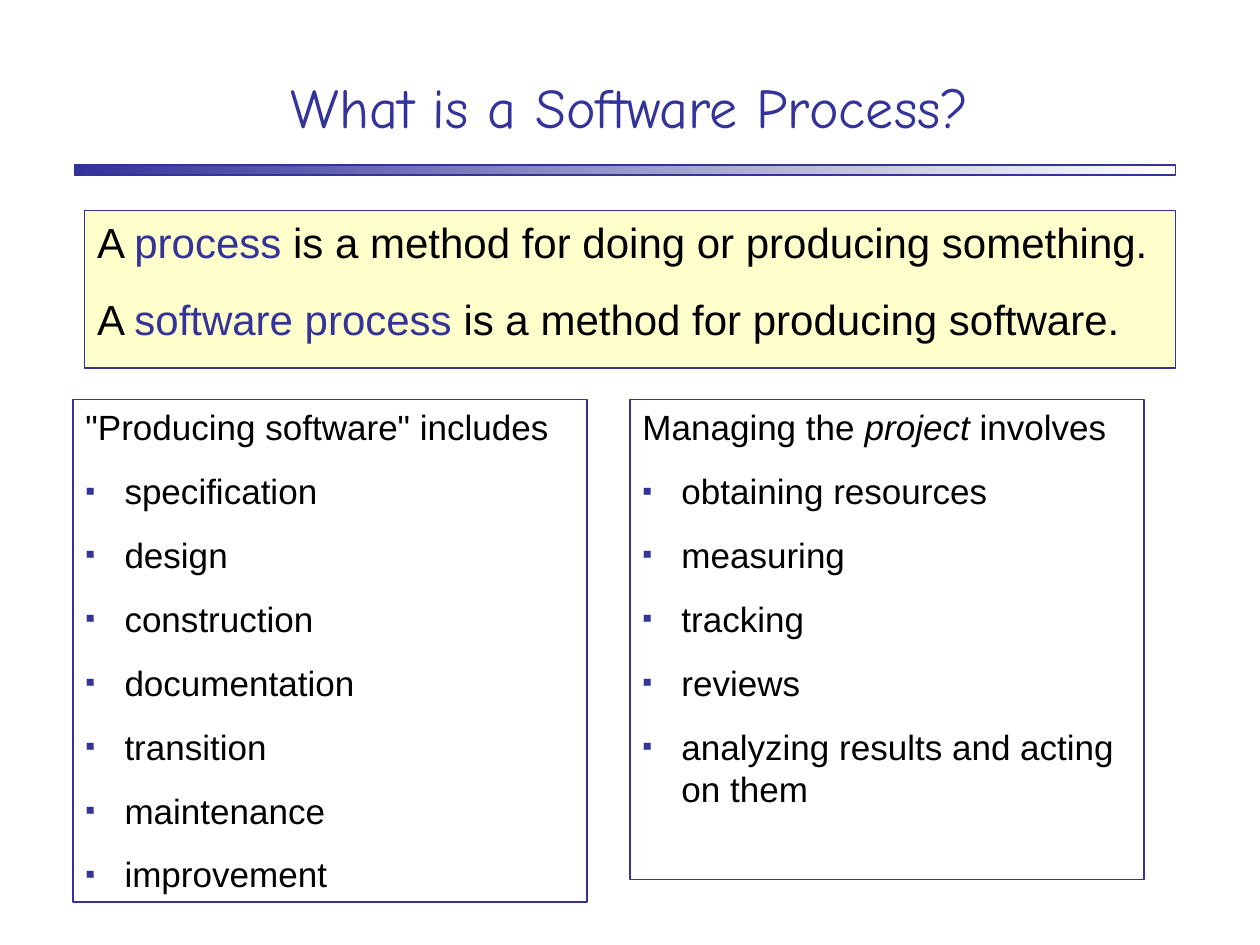
import pptx
import pptx.util
import pptx.dml.color
import pptx.enum.text
import pptx.enum.shapes
import pptx.oxml
import pptx.oxml.ns

Inches = pptx.util.Inches
Pt = pptx.util.Pt
BLUE, CREAM, BLACK, WHITE = "333399", "FFFFCC", "000000", "FFFFFF"
INSET = {
    "margin_left": Inches(0.1), "margin_right": Inches(0.1),
    "margin_top": Inches(0.05), "margin_bottom": Inches(0.05),
    "word_wrap": True,
}


def rgb(code):
    return pptx.dml.color.RGBColor.from_string(code)


def apply(item, form):
    for name, value in form.items():
        setattr(item, name, value)


def place(shape, box):
    names = ("left", "top", "width", "height")
    apply(shape, dict(zip(names, map(Inches, box))))


def outline(shape):
    shape.line.color.rgb = rgb(BLUE)
    shape.line.width = Pt(0.75)


def add_rect(slide, box):
    kind = pptx.enum.shapes.MSO_SHAPE.RECTANGLE
    shape = slide.shapes.add_shape(kind, *map(Inches, box))
    shape.shadow.inherit = False
    outline(shape)
    return shape


def write(para, runs, size, font="Arial"):
    """Add runs given as (text, colour, italic)."""
    for text, color, slant in runs:
        run = para.add_run()
        run.text = text
        apply(run.font, {"size": Pt(size), "name": font, "italic": slant})
        run.font.color.rgb = rgb(color)


def indent(para, depth, bullet):
    """Set a hanging indent, with a square bullet if asked."""
    props = para._p.get_or_add_pPr()
    props.set("marL", str(Inches(depth)))
    props.set("indent", str(-Inches(depth)))
    marks = ["<a:buNone {}/>"]
    if bullet:
        marks = [
            f'<a:buClr {{}}><a:srgbClr val="{BLUE}"/></a:buClr>',
            '<a:buSzPct {} val="80000"/>',
            '<a:buFont {} typeface="Arial"/>',
            '<a:buChar {} char="▪"/>',
        ]
    for mark in marks:
        xml = mark.format(pptx.oxml.ns.nsdecls("a"))
        props.append(pptx.oxml.parse_xml(xml))


def fill_text(frame, rows, size, gap, depth):
    """Write rows: a plain string is a bullet, a list of runs is not."""
    for pos, row in enumerate(rows):
        para = frame.add_paragraph() if pos else frame.paragraphs[0]
        bullet = isinstance(row, str)
        apply(para, {
            "alignment": pptx.enum.text.PP_ALIGN.LEFT,
            "space_before": Pt(gap),
        })
        indent(para, depth, bullet)
        write(para, [(row, BLACK, False)] if bullet else row, size)


def add_title(slide, box, text):
    title = slide.shapes.title
    place(title, box)
    frame = title.text_frame
    apply(frame, INSET)
    frame.vertical_anchor = pptx.enum.text.MSO_ANCHOR.BOTTOM
    para = frame.paragraphs[0]
    para.alignment = pptx.enum.text.PP_ALIGN.CENTER
    write(para, [(text, BLUE, False)], 32, "Comic Neue")


def add_rule(slide, box):
    fill = add_rect(slide, box).fill
    fill.gradient()
    fill.gradient_angle = 0
    for stop, color, spot in zip(fill.gradient_stops, (BLUE, WHITE), (0, 1)):
        stop.color.rgb = rgb(color)
        stop.position = spot


def add_summary(slide, box, rows):
    body = slide.placeholders[1]
    place(body, box)
    body.fill.solid()
    body.fill.fore_color.rgb = rgb(CREAM)
    outline(body)
    apply(body.text_frame, INSET)
    fill_text(body.text_frame, rows, 24, 15, 0.25)


def add_panel(slide, box, rows):
    panel = add_rect(slide, box)
    panel.fill.background()
    frame = panel.text_frame
    apply(frame, INSET)
    frame.vertical_anchor = pptx.enum.text.MSO_ANCHOR.TOP
    fill_text(frame, rows, 20, 12.5, 0.31)


def main():
    deck = pptx.Presentation()
    apply(deck, {"slide_width": Inches(10), "slide_height": Inches(7.5)})
    slide = deck.slides.add_slide(deck.slide_layouts[1])
    add_rule(slide, (0.59, 1.31, 8.74, 0.08))
    add_title(slide, (0.67, 0.21, 8.66, 0.95), "What is a Software Process?")
    add_summary(slide, (0.67, 1.67, 8.66, 1.25), [
        [("A ", BLACK, False), ("process", BLUE, False),
         (" is a method for doing or producing something.", BLACK, False)],
        [("A ", BLACK, False), ("software process", BLUE, False),
         (" is a method for producing software.", BLACK, False)],
    ])
    add_panel(slide, (0.58, 3.17, 4.08, 3.99), [
        [('"Producing software" includes', BLACK, False)],
        "specification", "design", "construction", "documentation",
        "transition", "maintenance", "improvement",
    ])
    add_panel(slide, (5, 3.17, 4.08, 3.81), [
        [("Managing the ", BLACK, False), ("project", BLACK, True),
         (" involves", BLACK, False)],
        "obtaining resources", "measuring", "tracking", "reviews",
        "analyzing results and acting on them",
    ])
    deck.save("out.pptx")


if __name__ == "__main__":
    main()
